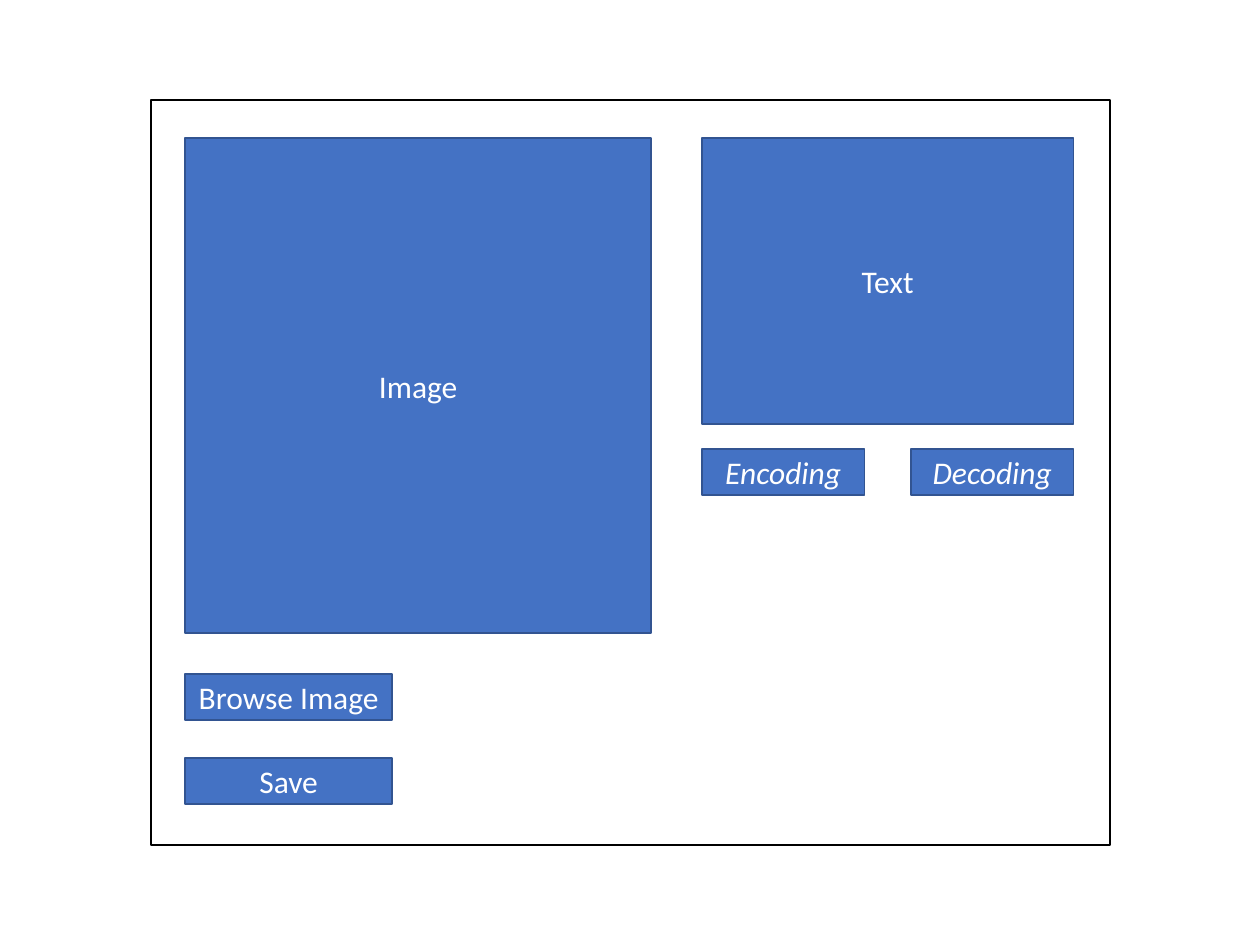
"""Draw the window layout of an image encoding and decoding tool."""
from dataclasses import dataclass

from pptx import Presentation
from pptx.dml.color import RGBColor
from pptx.enum.shapes import MSO_SHAPE
from pptx.enum.text import MSO_ANCHOR, PP_ALIGN
from pptx.slide import Slide
from pptx.util import Pt


@dataclass(frozen=True)
class Theme:
    paper: RGBColor = RGBColor(0xFF, 0xFF, 0xFF)
    frame: RGBColor = RGBColor(0x00, 0x00, 0x00)
    panel: RGBColor = RGBColor(0x44, 0x72, 0xC4)
    edge: RGBColor = RGBColor(0x32, 0x54, 0x91)
    font: str = "Calibri"
    size: float = 18
    line: float = 1


@dataclass(frozen=True)
class Box:
    left: float
    top: float
    width: float
    height: float
    label: str = ""
    italic: bool = False


THEME = Theme()
LEFT_COLUMN, RIGHT_COLUMN, RIGHT_WIDTH = 105.8, 401, 212.5
BUTTON_HEIGHT, FILE_WIDTH, CODEC_WIDTH = 26.2, 118.3, 93
FILE_TOP, FILE_STEP, CODEC_TOP = 385.3, 47.8, 256.8

WINDOW = Box(86.4, 57, 547.7, 426)
PANELS = [
    Box(LEFT_COLUMN, 79, 266.4, 282.8, "Image"),
    Box(RIGHT_COLUMN, 78.8, RIGHT_WIDTH, 163.5, "Text"),
]
FILE_BUTTONS = [
    Box(LEFT_COLUMN, FILE_TOP + row * FILE_STEP, FILE_WIDTH, BUTTON_HEIGHT, label)
    for row, label in enumerate(("Browse Image", "Save"))
]
CODEC_BUTTONS = [
    Box(RIGHT_COLUMN + column * (RIGHT_WIDTH - CODEC_WIDTH), CODEC_TOP,
        CODEC_WIDTH, BUTTON_HEIGHT, label, italic=True)
    for column, label in enumerate(("Encoding", "Decoding"))
]


def draw_box(page: Slide, box: Box, fill: RGBColor, line: RGBColor) -> None:
    shape = page.shapes.add_shape(
        MSO_SHAPE.FLOWCHART_PROCESS,
        Pt(box.left), Pt(box.top), Pt(box.width), Pt(box.height))
    shape.shadow.inherit = False
    shape.fill.solid()
    shape.fill.fore_color.rgb = fill
    shape.line.color.rgb = line
    shape.line.width = Pt(THEME.line)
    if not box.label:
        return
    frame = shape.text_frame
    frame.word_wrap = True
    frame.vertical_anchor = MSO_ANCHOR.MIDDLE
    frame.margin_left = frame.margin_right = Pt(3.6)
    para = frame.paragraphs[0]
    para.text = box.label
    para.alignment = PP_ALIGN.CENTER
    para.font.name = THEME.font
    para.font.size = Pt(THEME.size)
    para.font.italic = box.italic
    para.font.color.rgb = THEME.paper


def main() -> None:
    deck = Presentation()
    deck.slide_width, deck.slide_height = Pt(720), Pt(540)
    page = deck.slides.add_slide(deck.slide_layouts.get_by_name("Blank"))
    draw_box(page, WINDOW, THEME.paper, THEME.frame)
    for box in PANELS + FILE_BUTTONS + CODEC_BUTTONS:
        draw_box(page, box, THEME.panel, THEME.edge)
    deck.save("out.pptx")


main()
